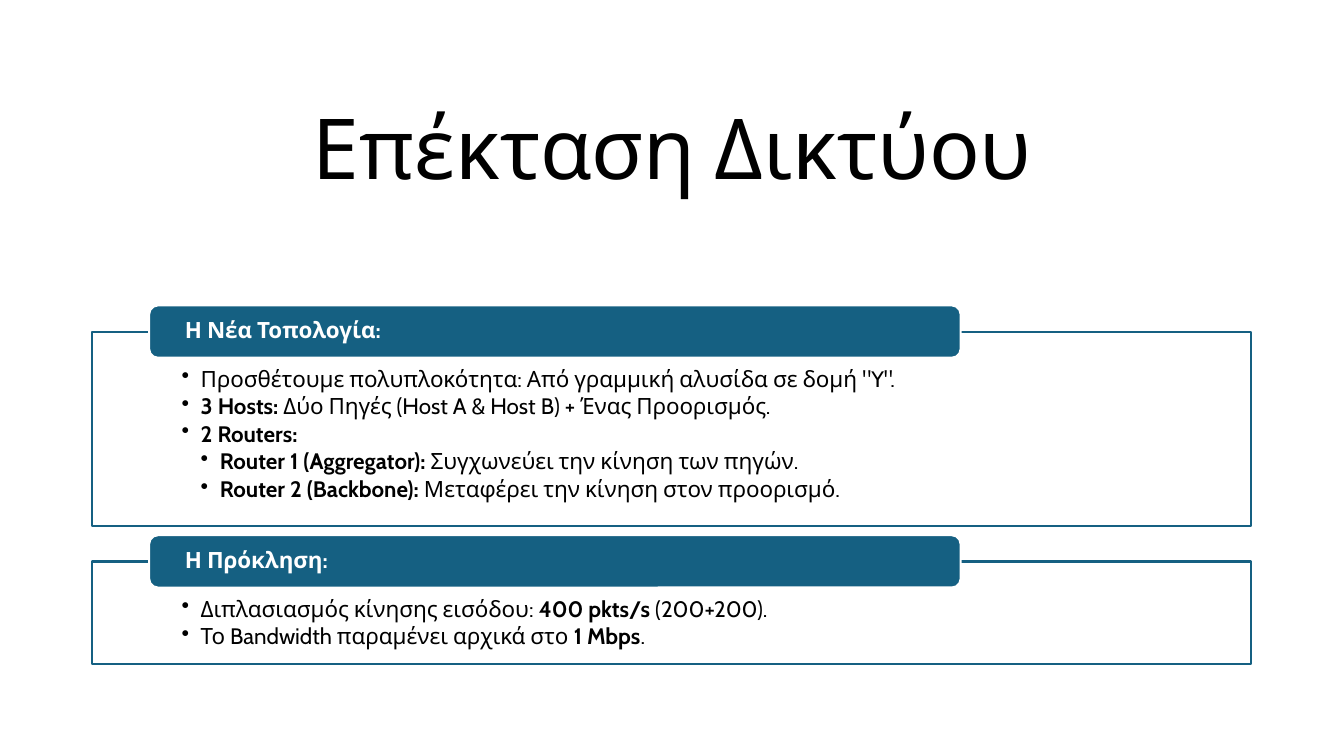
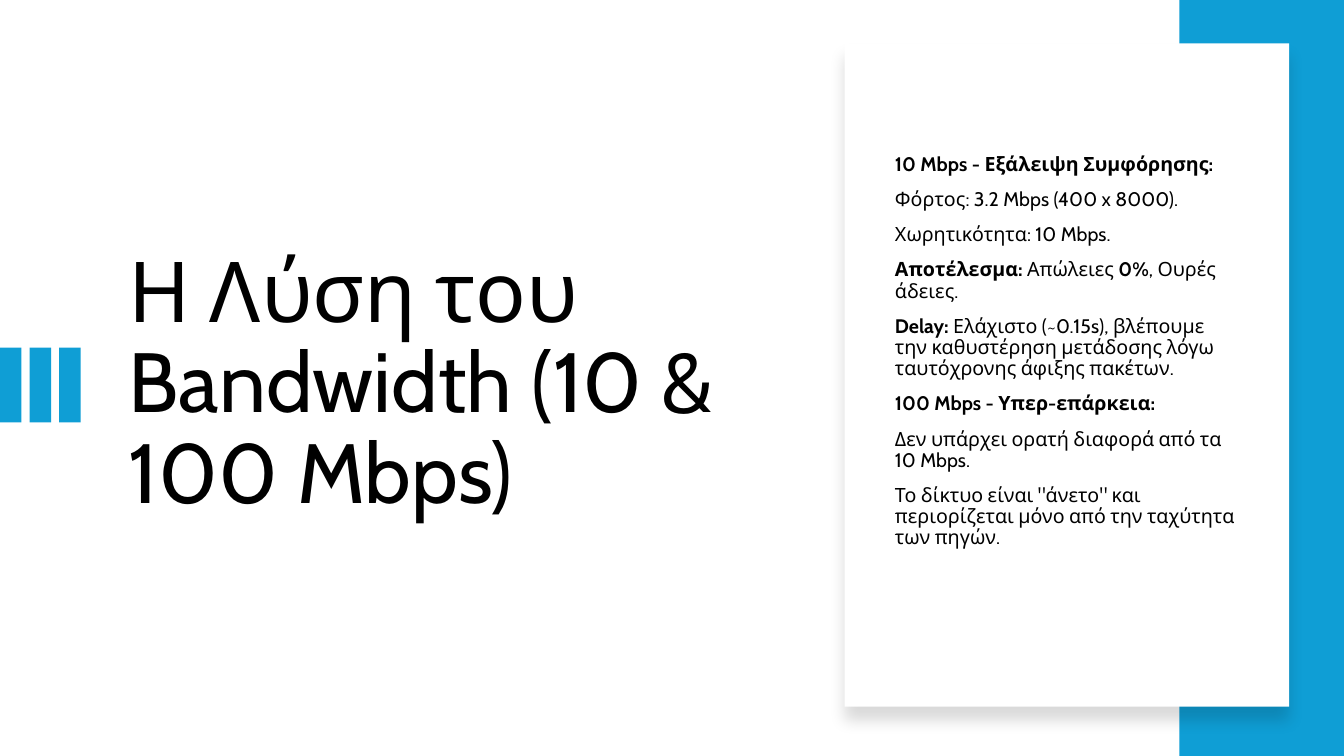
from lxml import etree
from pptx import Presentation
from pptx import util as u
from pptx.dml.color import RGBColor
from pptx.enum import shapes, text
from pptx.oxml import ns

FACE = "Cabin"
BLACK = RGBColor(0x00, 0x00, 0x00)
WHITE = RGBColor(0xFF, 0xFF, 0xFF)
TEAL = RGBColor(0x15, 0x60, 0x82)
BLUE = RGBColor(0x0F, 0x9E, 0xD5)

WIDE, HIGH = u.Inches(13.33), u.Inches(7.5)
RECT = shapes.MSO_SHAPE.RECTANGLE
ROUND = shapes.MSO_SHAPE.ROUNDED_RECTANGLE
TOP = text.MSO_ANCHOR.TOP
MID = text.MSO_ANCHOR.MIDDLE
LOW = text.MSO_ANCHOR.BOTTOM
LEFT = text.PP_ALIGN.LEFT
MIDST = text.PP_ALIGN.CENTER
STEP = 0.19

LEFT_X, FULL = 6.83, 86.25
TAB_X, TAB_W, TAB_H, TAB_UP = 11.1, 60.38, 6.93, 3.47
BAR_W, BAR_GAP = 1.6, 0.6

PANELS = [
    (43.87, 25.73, "*Η Νέα Τοπολογία:*", [
        (1, "Προσθέτουμε πολυπλοκότητα: Από γραμμική αλυσίδα σε δομή \"Y\"."),
        (1, "*3 Hosts:* Δύο Πηγές (Host A & Host B) + Ένας Προορισμός."),
        (1, "*2 Routers:*"),
        (2, "*Router 1 (Aggregator):* Συγχωνεύει την κίνηση των πηγών."),
        (2, "*Router 2 (Backbone):* Μεταφέρει την κίνηση στον προορισμό."),
    ]),
    (74.27, 13.6, "*Η Πρόκληση:*", [
        (1, "Διπλασιασμός κίνησης εισόδου: *400 pkts/s* (200+200)."),
        (1, "Το Bandwidth παραμένει αρχικά στο *1 Mbps*."),
    ]),
]

RESULTS = [
    "*10 Mbps - Εξάλειψη Συμφόρησης:*",
    "Φόρτος: 3.2 Mbps (400 x 8000).",
    "Χωρητικότητα: 10 Mbps.",
    "*Αποτέλεσμα:* Απώλειες *0%*, Ουρές άδειες.",
    "*Delay:* Ελάχιστο (~0.15s), βλέπουμε την καθυστέρηση μετάδοσης "
    "λόγω ταυτόχρονης άφιξης πακέτων.",
    "*100 Mbps - Υπερ-επάρκεια:*",
    "Δεν υπάρχει ορατή διαφορά από τα 10 Mbps.",
    "Το δίκτυο είναι \"άνετο\" και περιορίζεται μόνο από την ταχύτητα "
    "των πηγών.",
]


def place(x, y, w, h):
    return [round(side * share / 100) for side, share in
            ((WIDE, x), (HIGH, y), (WIDE, w), (HIGH, h))]


def bullet(para, level):
    props = para._p.get_or_add_pPr()
    props.set("marL", str(u.Inches(STEP * level)))
    props.set("indent", str(-u.Inches(STEP)))
    mark = etree.SubElement(props, ns.qn("a:buChar"))
    mark.set("char", "•")
    para.level = level


def write(shape, lines, size=16, color=BLACK, align=LEFT, anchor=TOP,
          pad=(0.1, 0.05), before=0, after=0):
    frame = shape.text_frame
    frame.word_wrap = True
    frame.vertical_anchor = anchor
    frame.margin_left = frame.margin_right = u.Inches(pad[0])
    frame.margin_top = frame.margin_bottom = u.Inches(pad[1])
    for order, line in enumerate(lines):
        level, words = line if isinstance(line, tuple) else (0, line)
        para = frame.add_paragraph() if order else frame.paragraphs[0]
        para.alignment = align
        para.line_spacing = 0.9
        para.space_before = u.Pt(before if order else 0)
        para.space_after = u.Pt(after)
        if level:
            bullet(para, level)
        for turn, part in enumerate(words.split("*")):
            if part:
                run = para.add_run()
                run.text = part
                font = run.font
                font.name, font.size = FACE, u.Pt(size)
                font.bold = turn % 2 == 1
                font.color.rgb = color


def label(slide, area, lines, **style):
    write(slide.shapes.add_textbox(*place(*area)), lines, **style)


def block(slide, area, fill, line=None, kind=RECT):
    shape = slide.shapes.add_shape(kind, *place(*area))
    shape.shadow.inherit = False
    shape.fill.solid()
    shape.fill.fore_color.rgb = fill
    if line is None:
        shape.line.fill.background()
    else:
        shape.line.color.rgb = line
        shape.line.width = u.Pt(1.5)
    return shape


def shade(shape):
    effects = shape._element.spPr.find(ns.qn("a:effectLst"))
    cast = etree.SubElement(
        effects, ns.qn("a:outerShdw"), blurRad=str(u.Pt(11)),
        dist=str(u.Pt(10)), dir="5400000", algn="t", rotWithShape="0")
    tint = etree.SubElement(cast, ns.qn("a:srgbClr"), val=str(BLACK))
    etree.SubElement(tint, ns.qn("a:alpha"), val="15000")


def title(slide, area, words, **style):
    label(slide, area, [words], size=60, **style)


def panel(slide, top, high, head, lines):
    body = block(slide, (LEFT_X, top, FULL, high), WHITE, TEAL)
    write(body, lines, pad=(0.89, 0.36), after=2.4)
    tab = block(slide, (TAB_X, top - TAB_UP, TAB_W, TAB_H),
                TEAL, WHITE, ROUND)
    write(tab, [head], color=WHITE, anchor=MID, pad=(0.33, 0))


def growth(slide):
    title(slide, (6.9, 11.2, FULL, 15.6), "Επέκταση Δικτύου",
          align=MIDST, anchor=LOW)
    for part in PANELS:
        panel(slide, *part)


def answer(slide):
    title(slide, (8.85, 16.67, 49.5, 68.67),
          "Η Λύση του Bandwidth (10 & 100 Mbps)", anchor=MID)
    for col in range(3):
        block(slide, (col * (BAR_W + BAR_GAP), 46, BAR_W, 9.87), BLUE)
    block(slide, (87.75, 0, 12.25, 100), BLUE)
    shade(block(slide, (62.85, 5.73, 33.08, 87.73), WHITE))
    label(slide, (65.85, 6.53, 27.08, 80), RESULTS,
          size=14, anchor=MID, before=10)


def main():
    deck = Presentation()
    deck.slide_width, deck.slide_height = WIDE, HIGH
    for draw in (growth, answer):
        draw(deck.slides.add_slide(deck.slide_layouts[6]))
    deck.save("out.pptx")


if __name__ == "__main__":
    main()
